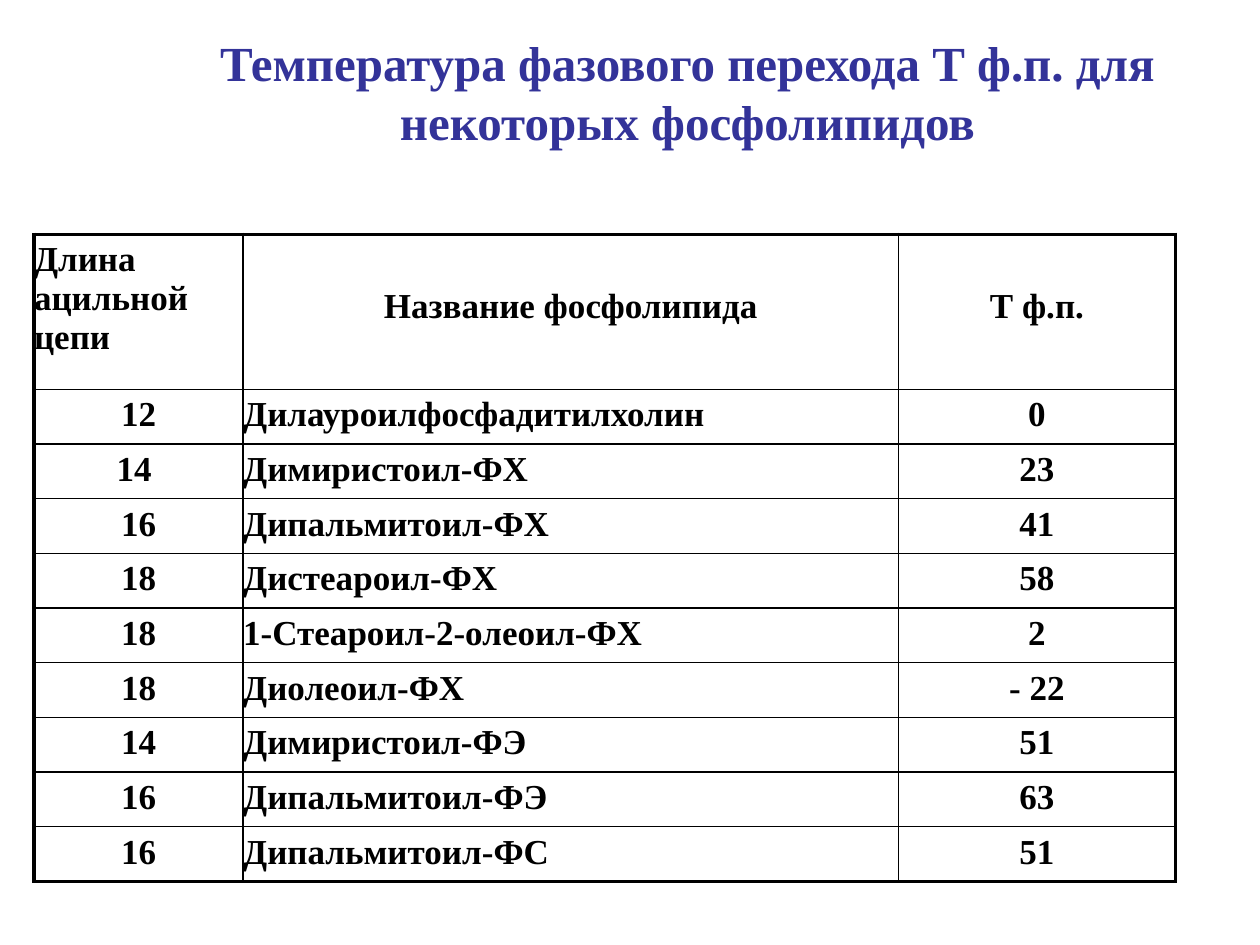
from lxml.etree import SubElement
from pptx import Presentation
from pptx.dml.color import RGBColor
from pptx.enum.text import PP_ALIGN
from pptx.oxml.ns import qn
from pptx.util import Inches, Pt

FONT = "Times New Roman"
COLORS = {"title": "333399", "text": "000000", "border": "000000"}
THIN, THICK = 1, 2.25
COLUMN_WIDTHS = [1.66, 5.2, 2.2]
HEADER_HEIGHT, ROW_HEIGHT = 1.23, 0.43
HEADER_LABEL_MARGIN = 0.42
TITLE = "Температура фазового перехода Т ф.п. для некоторых фосфолипидов"
ROWS = [
    ("Длина ацильной цепи", "Название фосфолипида", "Т ф.п."),
    ("12", "Дилауроилфосфадитилхолин", "0"),
    ("14 ", "Димиристоил-ФХ", "23"),
    ("16", "Дипальмитоил-ФХ", "41"),
    ("18", "Дистеароил-ФХ", "58"),
    ("18", "1-Стеароил-2-олеоил-ФХ", "2"),
    ("18", "Диолеоил-ФХ", "- 22"),
    ("14", "Димиристоил-ФЭ", "51"),
    ("16", "Дипальмитоил-ФЭ", "63"),
    ("16", "Дипальмитоил-ФС", "51"),
]


def write_text(text_frame, text, size, color, alignment):
    text_frame.text = text
    paragraph = text_frame.paragraphs[0]
    paragraph.alignment = alignment
    font = paragraph.runs[0].font
    font.name = FONT
    font.size = Pt(size)
    font.bold = True
    font.color.rgb = RGBColor.from_string(COLORS[color])


def add_title(slide):
    shape = slide.shapes.add_textbox(Inches(1.42), Inches(0.21), Inches(8.07), Inches(1.03))
    shape.text_frame.word_wrap = True
    write_text(shape.text_frame, TITLE, 28, "title", PP_ALIGN.CENTER)


def set_borders(cell, outer_sides):
    properties = cell._tc.get_or_add_tcPr()
    for side, is_outer in outer_sides.items():
        width = THICK if is_outer else THIN
        line = SubElement(properties, qn(f"a:ln{side}"), w=str(Pt(width)))
        fill = SubElement(line, qn("a:solidFill"))
        SubElement(fill, qn("a:srgbClr"), val=COLORS["border"])


def fill_cell(cell, text, row, column):
    last_row, last_column = len(ROWS) - 1, len(COLUMN_WIDTHS) - 1
    is_header_label = row == 0 and column > 0
    is_left = (row == 0) == (column == 0) and column < last_column and not (row and column == 0)
    if row > 0:
        is_left = column == 1
    cell.margin_left = cell.margin_right = 0
    cell.margin_top = Inches(HEADER_LABEL_MARGIN if is_header_label else 0.05)
    cell.margin_bottom = Inches(0.05)
    alignment = PP_ALIGN.LEFT if is_left else PP_ALIGN.CENTER
    write_text(cell.text_frame, text, 20, "text", alignment)
    set_borders(cell, {
        "L": column == 0,
        "R": column == last_column,
        "T": row == 0,
        "B": row == last_row,
    })
    cell.fill.background()


def add_phospholipid_table(slide):
    heights = [HEADER_HEIGHT] + [ROW_HEIGHT] * (len(ROWS) - 1)
    table = slide.shapes.add_table(
        len(ROWS), len(COLUMN_WIDTHS), Inches(0.27), Inches(1.86),
        Inches(sum(COLUMN_WIDTHS)), Inches(sum(heights)),
    ).table
    table.first_row = table.horz_banding = False
    for column, width in zip(table.columns, COLUMN_WIDTHS):
        column.width = Inches(width)
    for table_row, height in zip(table.rows, heights):
        table_row.height = Inches(height)
    for row, texts in enumerate(ROWS):
        for column, text in enumerate(texts):
            fill_cell(table.cell(row, column), text, row, column)


def main():
    presentation = Presentation()
    presentation.slide_width = Inches(10)
    presentation.slide_height = Inches(7.5)
    slide = presentation.slides.add_slide(presentation.slide_layouts[6])
    add_title(slide)
    add_phospholipid_table(slide)
    presentation.save("out.pptx")


if __name__ == "__main__":
    main()
